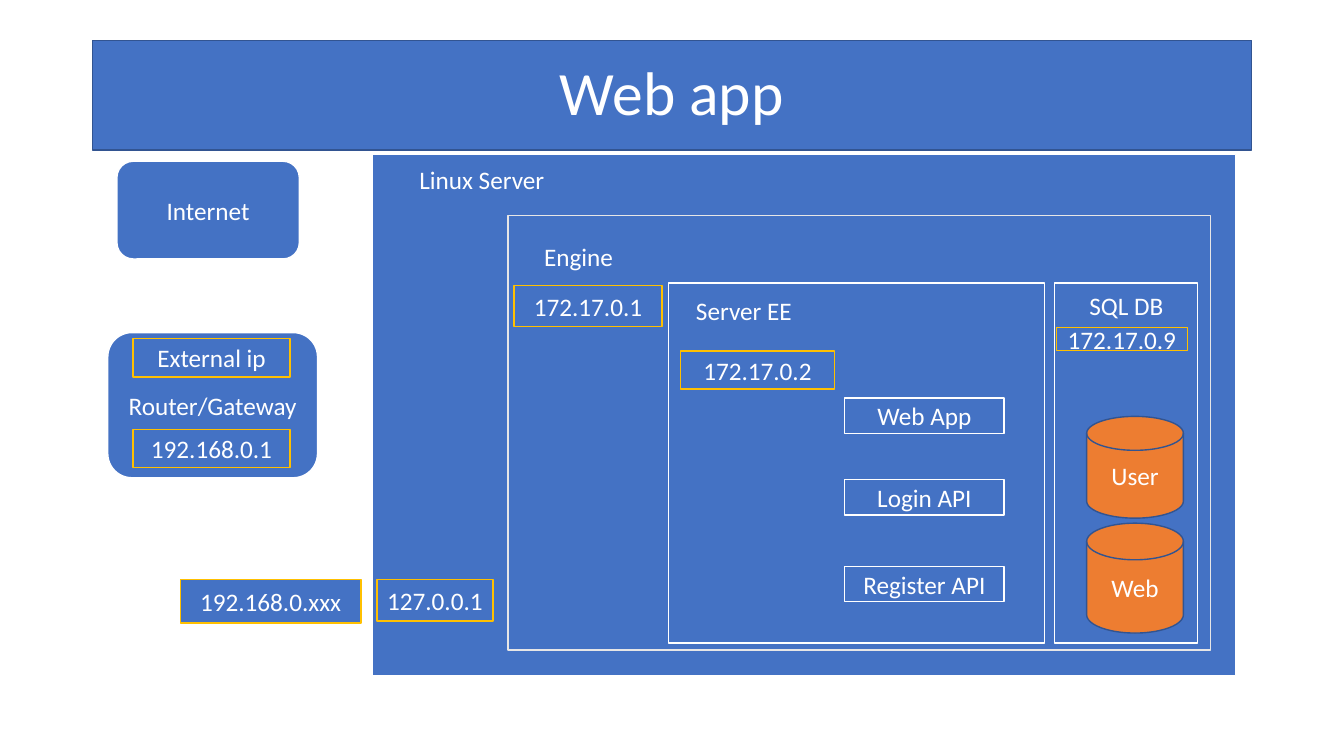
"""Build a slide showing the network and containers behind a web app."""
import pptx
import pptx.dml.color
import pptx.enum.shapes
import pptx.enum.text
import pptx.util

Pt = pptx.util.Pt
SHAPES = pptx.enum.shapes.MSO_SHAPE
COLOURS = {"blue": "4472C4", "navy": "325491", "orange": "ED7D31",
           "gold": "FFC000", "grey": "E7E6E6", "white": "FFFFFF"}


class Diagram:
    """Hold the style and the current slide of the diagram."""

    def __init__(self, presentation):
        """Add a title-only slide."""
        self.font = "Calibri"
        self.slide = presentation.slides.add_slide(presentation.slide_layouts[5])

    def colour(self, name):
        """Return the named colour."""
        return pptx.dml.color.RGBColor.from_string(COLOURS[name])

    def style(self, shape, fill, line):
        """Set the fill and outline of a shape."""
        shape.fill.solid()
        shape.fill.fore_color.rgb = self.colour(fill)
        shape.line.color.rgb = self.colour(line)
        shape.line.width = Pt(1)

    def add_text(self, shape, text, size):
        """Put one centred line of white text in a shape."""
        frame = shape.text_frame
        frame.word_wrap = True
        frame.vertical_anchor = pptx.enum.text.MSO_ANCHOR.MIDDLE
        paragraph = frame.paragraphs[0]
        paragraph.alignment = pptx.enum.text.PP_ALIGN.CENTER
        run = paragraph.add_run()
        run.text = text
        run.font.name = self.font
        run.font.size = Pt(size)
        run.font.color.rgb = self.colour("white")
        return paragraph

    def title(self, text, left, top, width, height):
        """Place the title as a filled banner."""
        shape = self.slide.shapes.title
        shape.left, shape.top = Pt(left), Pt(top)
        shape.width, shape.height = Pt(width), Pt(height)
        self.style(shape, "blue", "navy")
        self.add_text(shape, text, 44).line_spacing = 0.9

    def box(self, text, left, top, width, height, line="white", fill="blue",
            kind=SHAPES.RECTANGLE):
        """Add a preset shape, with text if there is any."""
        shape = self.slide.shapes.add_shape(
            kind, Pt(left), Pt(top), Pt(width), Pt(height))
        shape.shadow.inherit = False
        self.style(shape, fill, line)
        if text:
            self.add_text(shape, text, 18)

    def label(self, text, left, top, width, height):
        """Add a name that blends into its container."""
        self.box(text, left, top, width, height, line="blue")

    def address(self, text, left, top, width, height):
        """Add a gold-framed network address."""
        self.box(text, left, top, width, height, line="gold")

    def node(self, text, left, top, width, height):
        """Add a rounded network node."""
        self.box(text, left, top, width, height, kind=SHAPES.ROUNDED_RECTANGLE)

    def database(self, text, left, top, width, height):
        """Add an orange database cylinder."""
        self.box(text, left, top, width, height, line="navy", fill="orange",
                 kind=SHAPES.FLOWCHART_MAGNETIC_DISK)


presentation = pptx.Presentation()
presentation.slide_width, presentation.slide_height = Pt(960), Pt(540)
diagram = Diagram(presentation)
diagram.title("Web app", 66, 28.75, 828, 78.5)

diagram.box("", 265.7, 110.2, 617, 372.2)
diagram.box("", 362.9, 154.1, 501.8, 310.3, line="grey")
diagram.box("", 753.1, 202.3, 102.2, 257)
diagram.box("", 477.4, 202.3, 268.6, 257)

diagram.label("SQL DB", 763.2, 211, 82.8, 13.7)
diagram.label("Server EE", 481, 208.8, 100.8, 25.2)
diagram.label("Engine", 375.1, 170, 76.3, 26.6)
diagram.label("Linux Server", 275.8, 116, 136.8, 23.8)

diagram.database("User", 776.2, 297.4, 69.1, 72.7)
diagram.database("Web", 776.2, 373.7, 69.1, 78.5)

for service, top in (("Web App", 284.4), ("Login API", 342.7), ("Register API", 404.6)):
    diagram.box(service, 603.4, top, 113.8, 25.2)

diagram.node("Internet", 83.5, 115.2, 130.3, 69.8)
diagram.node("Router/Gateway", 77, 237.6, 149.8, 103.7)

diagram.address("External ip", 95, 241.9, 112.3, 27.4)
diagram.address("192.168.0.1", 95, 306.7, 112.3, 27.4)
diagram.address("192.168.0.xxx", 128.9, 414, 128.9, 31)
diagram.address("127.0.0.1", 269.3, 414, 82.8, 29.5)
diagram.address("172.17.0.1", 367.2, 203.8, 105.8, 29.5)
diagram.address("172.17.0.2", 486, 250.6, 110.2, 27.4)
diagram.address("172.17.0.9", 754.6, 234, 93.6, 16.6)

presentation.save("out.pptx")
